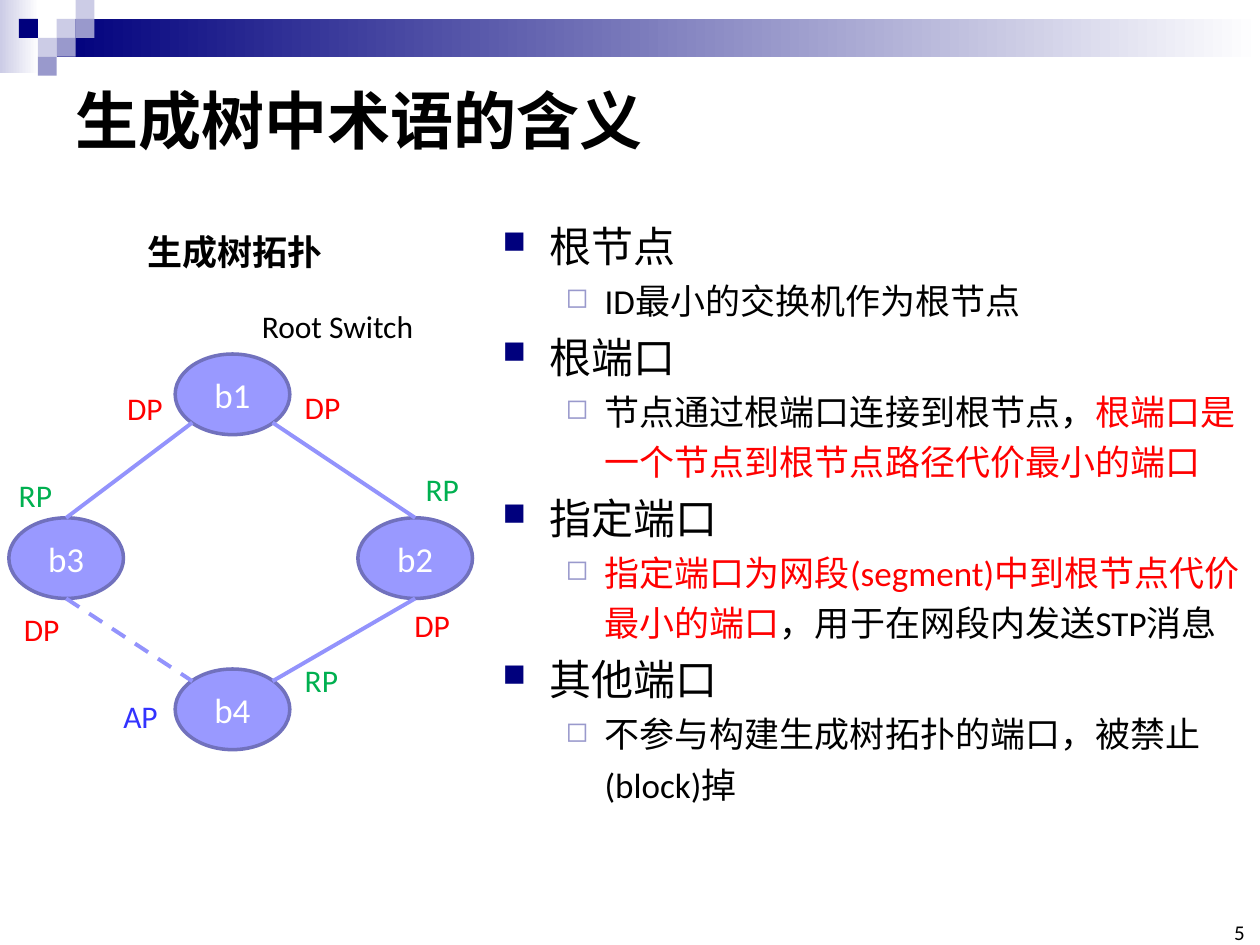
from dataclasses import dataclass
from typing import NamedTuple, Optional

from lxml.etree import SubElement
from pptx import Presentation
from pptx.dml.color import RGBColor
from pptx.enum.dml import MSO_LINE_DASH_STYLE as Dash
from pptx.enum.shapes import MSO_CONNECTOR_TYPE as Connector, MSO_SHAPE as Shape
from pptx.enum.text import MSO_ANCHOR as Anchor, MSO_AUTO_SIZE as AutoSize, PP_ALIGN as Align
from pptx.oxml.ns import qn
from pptx.util import Emu, Inches, Pt

BLACK = RGBColor(0x00, 0x00, 0x00)
WHITE = RGBColor(0xFF, 0xFF, 0xFF)
NAVY = RGBColor(0x00, 0x00, 0x7D)
LAVENDER = RGBColor(0xCC, 0xCC, 0xE6)
MAUVE = RGBColor(0x99, 0x99, 0xCC)
NODE_FILL = RGBColor(0x99, 0x99, 0xFF)
NODE_LINE = RGBColor(0x71, 0x71, 0xBD)
LINK = RGBColor(0x93, 0x93, 0xFC)
RED = RGBColor(0xFF, 0x00, 0x00)
GREEN = RGBColor(0x00, 0xB0, 0x50)
BLUE = RGBColor(0x33, 0x33, 0xFF)

FONT = "Calibri"
COLUMNS, ROWS = 100, 75
SLIDE_WIDTH, SLIDE_HEIGHT = Inches(10), Inches(7.5)
SQUARE = 1.5
NODE_WIDTH, NODE_HEIGHT = 9.1, 6.4
DIAGONAL = 0.35


class Box(NamedTuple):
    column: float
    row: float
    columns: float
    rows: float


@dataclass
class Node:
    name: str
    column: float
    row: float

    def point(self, across: float, down: float) -> tuple[float, float]:
        return self.column + across * NODE_WIDTH, self.row + down * NODE_HEIGHT


@dataclass
class Link:
    start: tuple[float, float]
    end: tuple[float, float]
    dash: Optional[Dash] = None


@dataclass
class Label:
    text: str
    box: Box
    color: RGBColor = BLACK
    size: int = 18
    bold: bool = False


class Piece(NamedTuple):
    text: str
    color: RGBColor = BLACK


class Level(NamedTuple):
    size: int
    margin: float
    hanging: float
    bullet: str
    bullet_color: RGBColor
    bullet_percent: int


TERM = Level(24, 3.7, 3.7, "■", NAVY, 75)
MEANING = Level(20, 8.1, 3.1, "◻", MAUVE, 80)


def across(columns: float) -> Emu:
    return Emu(round(SLIDE_WIDTH * columns / COLUMNS))


def down(rows: float) -> Emu:
    return Emu(round(SLIDE_HEIGHT * rows / ROWS))


def place(box: Box) -> tuple[Emu, Emu, Emu, Emu]:
    return across(box.column), down(box.row), across(box.columns), down(box.rows)


def add_run(paragraph, text: str, size: int, color: RGBColor, bold: bool = False) -> None:
    run = paragraph.add_run()
    run.text = text
    run.font.name, run.font.size, run.font.bold = FONT, Pt(size), bold
    run.font.color.rgb = color


def add_block(slide, box: Box, color: RGBColor, fade: bool = False) -> None:
    shape = slide.shapes.add_shape(Shape.RECTANGLE, *place(box))
    shape.shadow.inherit = False
    shape.line.fill.background()
    if fade:
        shape.fill.gradient()
        shape.fill.gradient_angle = 0
        for stop, stop_color in zip(shape.fill.gradient_stops, (color, WHITE)):
            stop.color.rgb = stop_color
        shape.fill.gradient_stops[0].position = 0
        shape.fill.gradient_stops[1].position = 1
    else:
        shape.fill.solid()
        shape.fill.fore_color.rgb = color


def add_node(slide, node: Node) -> None:
    box = Box(node.column, node.row, NODE_WIDTH, NODE_HEIGHT)
    shape = slide.shapes.add_shape(Shape.OVAL, *place(box))
    shape.shadow.inherit = False
    shape.fill.solid()
    shape.fill.fore_color.rgb = NODE_FILL
    shape.line.color.rgb, shape.line.width = NODE_LINE, Pt(2)
    shape.text_frame.vertical_anchor = Anchor.MIDDLE
    paragraph = shape.text_frame.paragraphs[0]
    paragraph.alignment = Align.CENTER
    add_run(paragraph, node.name, 20, WHITE)


def add_link(slide, link: Link) -> None:
    (x1, y1), (x2, y2) = link.start, link.end
    line = slide.shapes.add_connector(
        Connector.STRAIGHT, across(x1), down(y1), across(x2), down(y2))
    line.line.color.rgb, line.line.width = LINK, Pt(2.25)
    if link.dash:
        line.line.dash_style = link.dash
    SubElement(line._element.spPr, qn("a:effectLst"))


def add_label(slide, label: Label) -> None:
    frame = slide.shapes.add_textbox(*place(label.box)).text_frame
    frame.word_wrap = False
    frame.auto_size = AutoSize.SHAPE_TO_FIT_TEXT
    add_run(frame.paragraphs[0], label.text, label.size, label.color, label.bold)


def format_bullet(paragraph, level: Level) -> None:
    properties = paragraph._p.get_or_add_pPr()
    properties.set("marL", str(across(level.margin)))
    properties.set("indent", str(-across(level.hanging)))
    color = SubElement(properties, qn("a:buClr"))
    SubElement(color, qn("a:srgbClr"), val=str(level.bullet_color))
    SubElement(properties, qn("a:buSzPct"), val=str(level.bullet_percent * 1000))
    SubElement(properties, qn("a:buChar"), char=level.bullet)
    paragraph.level = 0 if level is TERM else 1
    paragraph.line_spacing = 1.2


def add_glossary(slide, box: Box, glossary: dict[str, list[Piece]]) -> None:
    frame = slide.shapes.add_textbox(*place(box)).text_frame
    frame.word_wrap = True
    entries = [entry for term, meaning in glossary.items()
               for entry in ((TERM, [Piece(term)]), (MEANING, meaning))]
    for index, (level, pieces) in enumerate(entries):
        paragraph = frame.add_paragraph() if index else frame.paragraphs[0]
        format_bullet(paragraph, level)
        for piece in pieces:
            add_run(paragraph, piece.text, level.size, piece.color)


def add_title(slide, text: str, box: Box) -> None:
    title = slide.shapes.title
    title.left, title.top, title.width, title.height = place(box)
    title.text_frame.vertical_anchor = Anchor.MIDDLE
    paragraph = title.text_frame.paragraphs[0]
    paragraph.alignment = Align.LEFT
    add_run(paragraph, text, 36, BLACK, True)


def add_page_number(slide, text: str, box: Box) -> None:
    frame = slide.shapes.add_textbox(*place(box)).text_frame
    frame.margin_left = frame.margin_right = frame.margin_top = frame.margin_bottom = 0
    frame.vertical_anchor = Anchor.BOTTOM
    frame.paragraphs[0].alignment = Align.RIGHT
    add_run(frame.paragraphs[0], text, 12, BLACK)


def main() -> None:
    presentation = Presentation()
    presentation.slide_width, presentation.slide_height = SLIDE_WIDTH, SLIDE_HEIGHT
    slide = presentation.slides.add_slide(presentation.slide_layouts[5])

    add_block(slide, Box(0, 0, 3.1, 5.8), LAVENDER, fade=True)
    add_block(slide, Box(4.5, 1.5, 95.5, 3), NAVY, fade=True)
    for column, row, color in ((3, 1, LAVENDER), (4, 0, LAVENDER), (4, 1, MAUVE), (2, 2, LAVENDER),
                               (1, 1, NAVY), (3, 2, MAUVE), (2, 3, MAUVE)):
        add_block(slide, Box(column * SQUARE, row * SQUARE, SQUARE, SQUARE), color)
    add_title(slide, "生成树中术语的含义", Box(5, 5, 90, 8.9))
    add_page_number(slide, "5", Box(96.5, 73.3, 2.3, 1.7))

    add_glossary(slide, Box(38.9, 16.2, 61.1, 55.1), {
        "根节点": [Piece("ID最小的交换机作为根节点")],
        "根端口": [Piece("节点通过根端口连接到根节点，"),
                Piece("根端口是一个节点到根节点路径代价最小的端口", RED)],
        "指定端口": [Piece("指定端口为网段(segment)中到根节点代价最小的端口", RED),
                 Piece("，用于在网段内发送STP消息")],
        "其他端口": [Piece("不参与构建生成树拓扑的端口，被禁止(block)掉")],
    })

    top, left, right, bottom = (Node("b1", 13.9, 28.1), Node("b3", 0.7, 41.1),
                                Node("b2", 28.4, 41.1), Node("b4", 13.9, 53.1))
    for node in (top, left, right, bottom):
        add_node(slide, node)
    near, far = 0.5 - DIAGONAL, 0.5 + DIAGONAL
    for link in (Link(top.point(near, far), left.point(0.5, 0)),
                 Link(top.point(far, far), right.point(0.5, 0)),
                 Link(left.point(0.5, 1), bottom.point(near, near), Dash.DASH),
                 Link(right.point(0.5, 1), bottom.point(far, near))):
        add_link(slide, link)

    add_label(slide, Label("生成树拓扑", Box(10.7, 17.8, 16.1, 4.4), size=20, bold=True))
    add_label(slide, Label("Root Switch", Box(19.8, 23.9, 14.2, 4)))
    ports = {("RP", GREEN): ((0.5, 37.3), (32.8, 36.8), (23.2, 52)),
             ("DP", RED): ((9.1, 30.4), (23.2, 30.3), (0.9, 47.9), (31.9, 47.6)),
             ("AP", BLUE): ((8.8, 54.8),)}
    for (text, color), corners in ports.items():
        for column, row in corners:
            add_label(slide, Label(text, Box(column, row, 4.8, 4), color))

    presentation.save("out.pptx")


if __name__ == "__main__":
    main()
